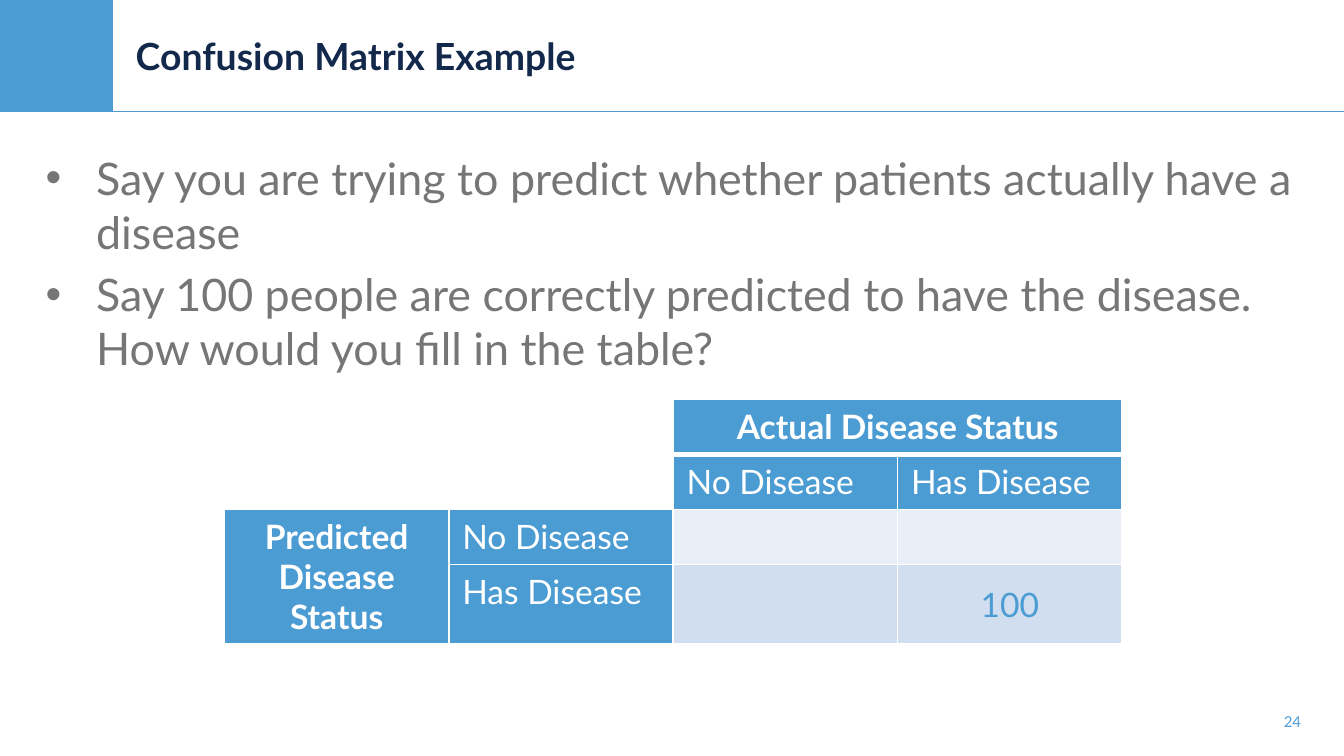
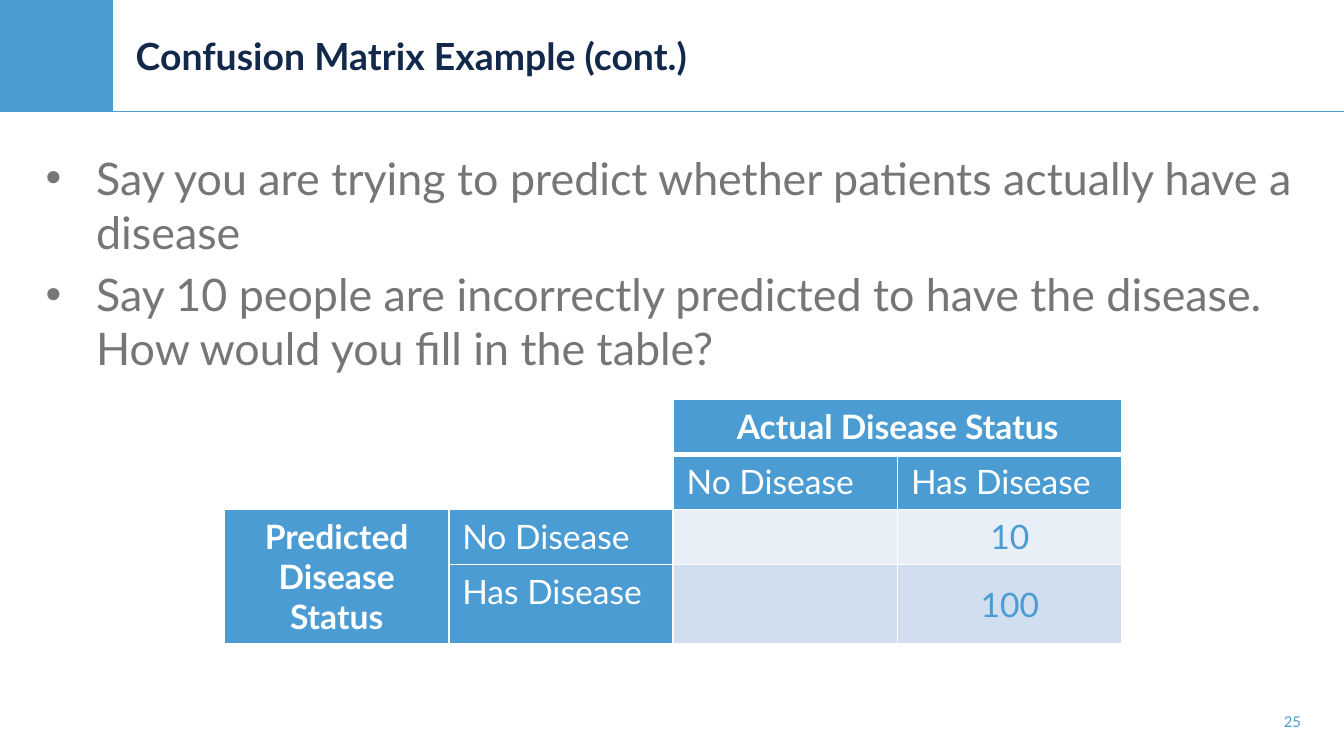
"""Build two slides that fill in a confusion matrix step by step."""
import pptx
import pptx.dml.color
import pptx.enum.shapes
import pptx.enum.text
import pptx.oxml
import pptx.oxml.ns
import pptx.util

PX = 9144
HUES = {"blue": "4B9CD3", "navy": "13294B", "gray": "767676",
        "white": "FFFFFF", "pale": "E9EFF7", "soft": "D0DEEF"}
ALIGN = pptx.enum.text.PP_ALIGN
MID = pptx.enum.text.MSO_ANCHOR.MIDDLE
TOP = pptx.enum.text.MSO_ANCHOR.TOP


def px(size):
    return pptx.util.Emu(size * PX)


def hue(name):
    return pptx.dml.color.RGBColor.from_string(HUES[name])


class Deck:
    def __init__(self):
        self.file = pptx.Presentation()
        self.file.slide_width = px(1000)
        self.file.slide_height = pptx.util.Inches(5.625)
        self.slide = None

    def place(self, shape, left, top, width, height):
        shape.left, shape.top = px(left), px(top)
        shape.width, shape.height = px(width), px(height)

    def label(self, frame, lines, size, color, bold=False, align=ALIGN.LEFT):
        frame.word_wrap = True
        frame.text = "\n".join(lines)
        for para in frame.paragraphs:
            para.alignment = align
            font = para.font
            font.name, font.size, font.bold = "Lato", pptx.util.Pt(size), bold
            font.color.rgb = hue(color)

    def start(self, title, number):
        self.slide = self.file.slides.add_slide(self.file.slide_layouts[1])
        self.band()
        self.rule()
        head = self.slide.shapes.title
        self.place(head, 91, 0, 887, 83)
        self.label(head.text_frame, [title], 20, "navy", True)
        head.text_frame.vertical_anchor = MID
        head.text_frame.auto_size = pptx.enum.text.MSO_AUTO_SIZE.NONE
        foot = self.slide.shapes.add_textbox(px(936), px(525), px(42), px(28))
        self.label(foot.text_frame, [str(number)], 8, "blue", align=ALIGN.RIGHT)

    def band(self):
        kind = pptx.enum.shapes.MSO_SHAPE.RECTANGLE
        band = self.slide.shapes.add_shape(kind, 0, 0, px(84), px(83))
        band.shadow.inherit = False
        band.fill.solid()
        band.fill.fore_color.rgb = hue("blue")
        band.line.fill.background()

    def rule(self):
        kind = pptx.enum.shapes.MSO_CONNECTOR.STRAIGHT
        rule = self.slide.shapes.add_connector(kind, 0, px(83), px(1000), px(83))
        rule.line.color.rgb = hue("blue")
        rule.line.width = pptx.util.Pt(1)
        flat = pptx.oxml.parse_xml(f"<a:effectLst {pptx.oxml.ns.nsdecls('a')}/>")
        rule._element.spPr.append(flat)

    def list(self, lines):
        body = self.slide.placeholders[1]
        self.place(body, 24, 107, 953, 382)
        self.label(body.text_frame, lines, 24, "gray")
        body.text_frame.auto_size = pptx.enum.text.MSO_AUTO_SIZE.NONE

    def edge(self, cell, row):
        props = cell._tc.get_or_add_tcPr()
        wide = {"L": 1, "R": 1, "T": 3 if row == 1 else 1, "B": 3 if row == 0 else 1}
        for side, width in wide.items():
            props.append(pptx.oxml.parse_xml(
                f"<a:ln{side} {pptx.oxml.ns.nsdecls('a')} w='{width * 12700}'>"
                f"<a:solidFill><a:srgbClr val='{HUES['white']}'/></a:solidFill>"
                f"</a:ln{side}>"))

    def cell(self, cell, row, text, fill, color, bold, align, anchor):
        self.edge(cell, row)
        if fill:
            cell.fill.solid()
            cell.fill.fore_color.rgb = hue(fill)
        else:
            cell.fill.background()
        cell.vertical_anchor = anchor
        self.label(cell.text_frame, [text], 18, color, bold, align)

    def matrix(self, counts):
        grid = self.slide.shapes.add_table(4, 4, px(167), px(297), px(667), px(164)).table
        grid.first_row = grid.horz_banding = False
        for col in grid.columns:
            col.width = pptx.util.Inches(1.67)
        for row in grid.rows:
            row.height = px(41)
        grid.cell(0, 2).merge(grid.cell(0, 3))
        grid.cell(2, 0).merge(grid.cell(3, 0))
        states = ["No Disease", "Has Disease"]
        texts = [["", "", "Actual Disease Status", ""],
                 ["", "", *states],
                 ["Predicted Disease Status", states[0], *counts[0]],
                 ["", states[1], *counts[1]]]
        for row, line in enumerate(texts):
            for col, text in enumerate(line):
                count = row > 1 and col > 1
                group = row == 0 or col == 0
                if count:
                    fill = "pale" if row == 2 else "soft"
                else:
                    fill = "blue" if row > 1 or col > 1 else None
                self.cell(grid.cell(row, col), row, text, fill,
                          "blue" if count else "white", group,
                          ALIGN.CENTER if count or group else ALIGN.LEFT,
                          MID if count and row == 3 else TOP)


def main():
    deck = Deck()
    pages = [("Confusion Matrix Example", "100 people are correctly",
              [["", ""], ["", "100"]]),
             ("Confusion Matrix Example (cont.)", "10 people are incorrectly",
              [["", "10"], ["", "100"]])]
    for number, (title, group, counts) in enumerate(pages, 24):
        deck.start(title, number)
        deck.list(["Say you are trying to predict whether patients actually have a disease",
                   f"Say {group} predicted to have the disease. "
                   "How would you fill in the table?"])
        deck.matrix(counts)
    deck.file.save("out.pptx")


if __name__ == "__main__":
    main()
